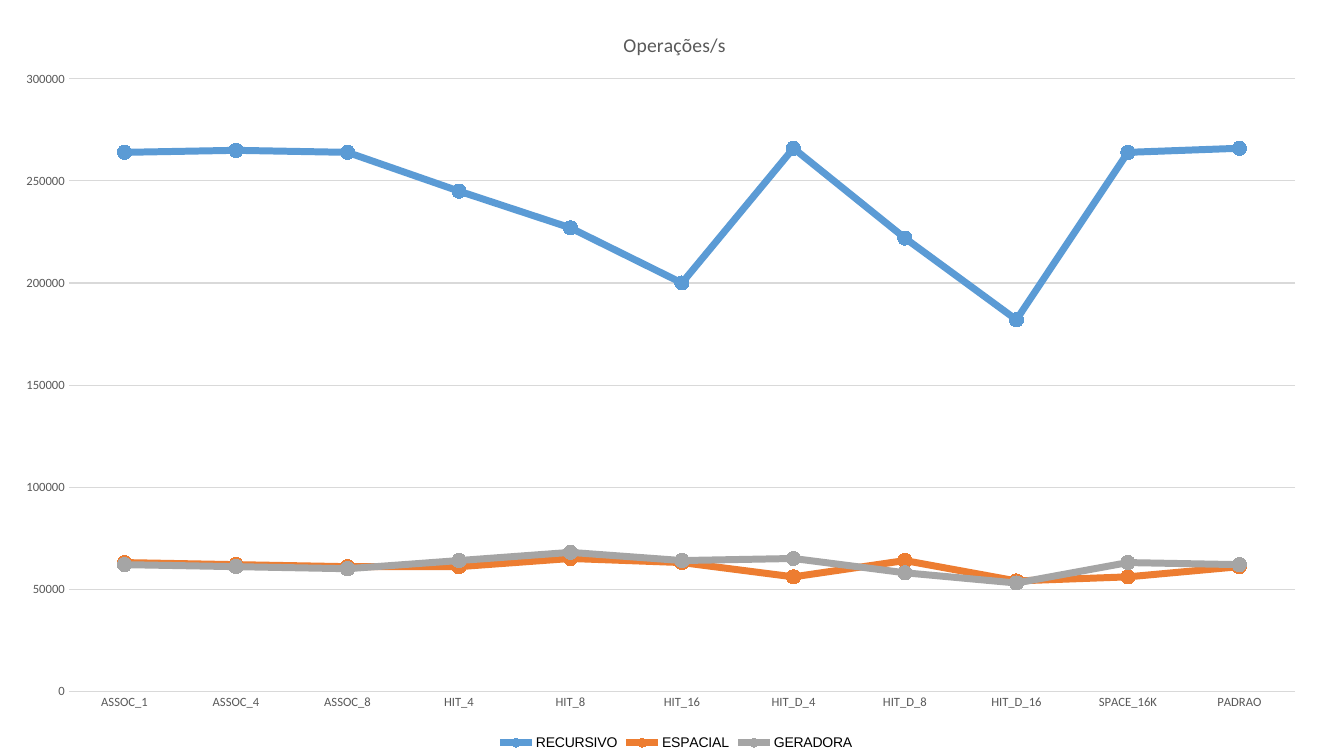
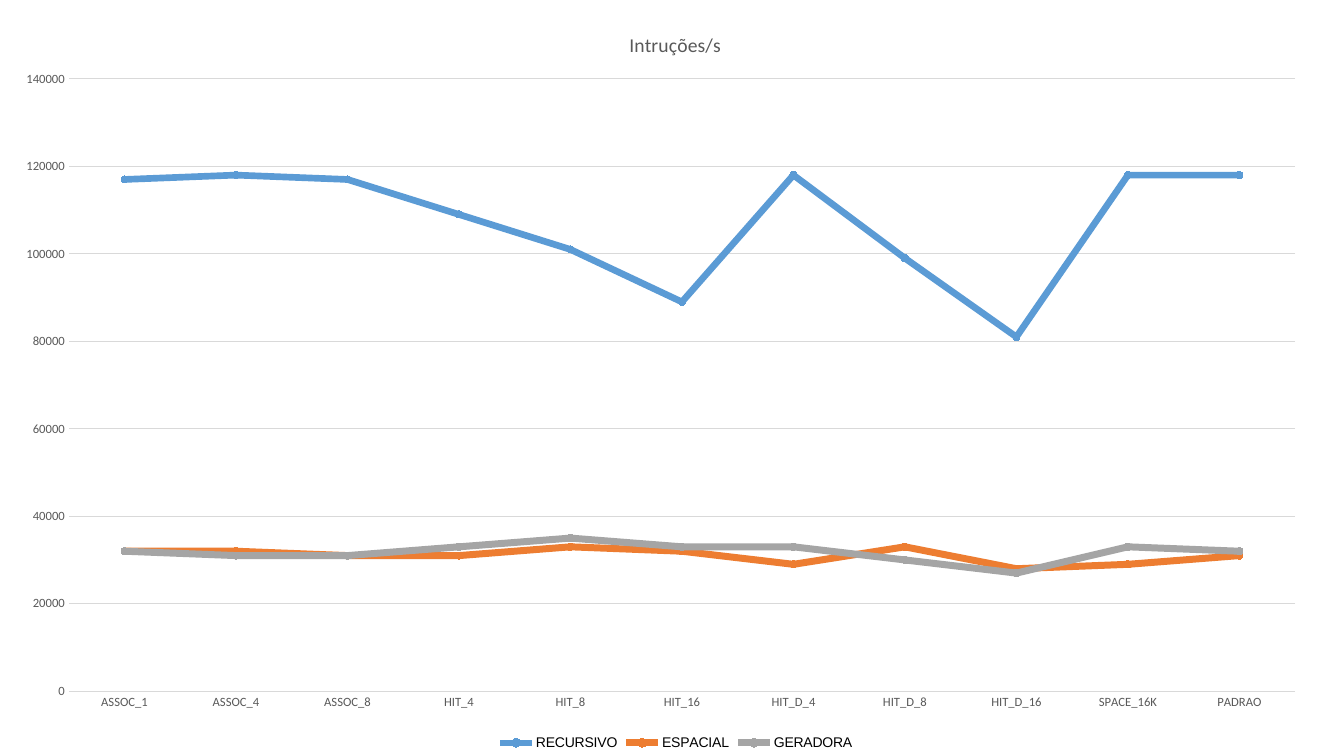
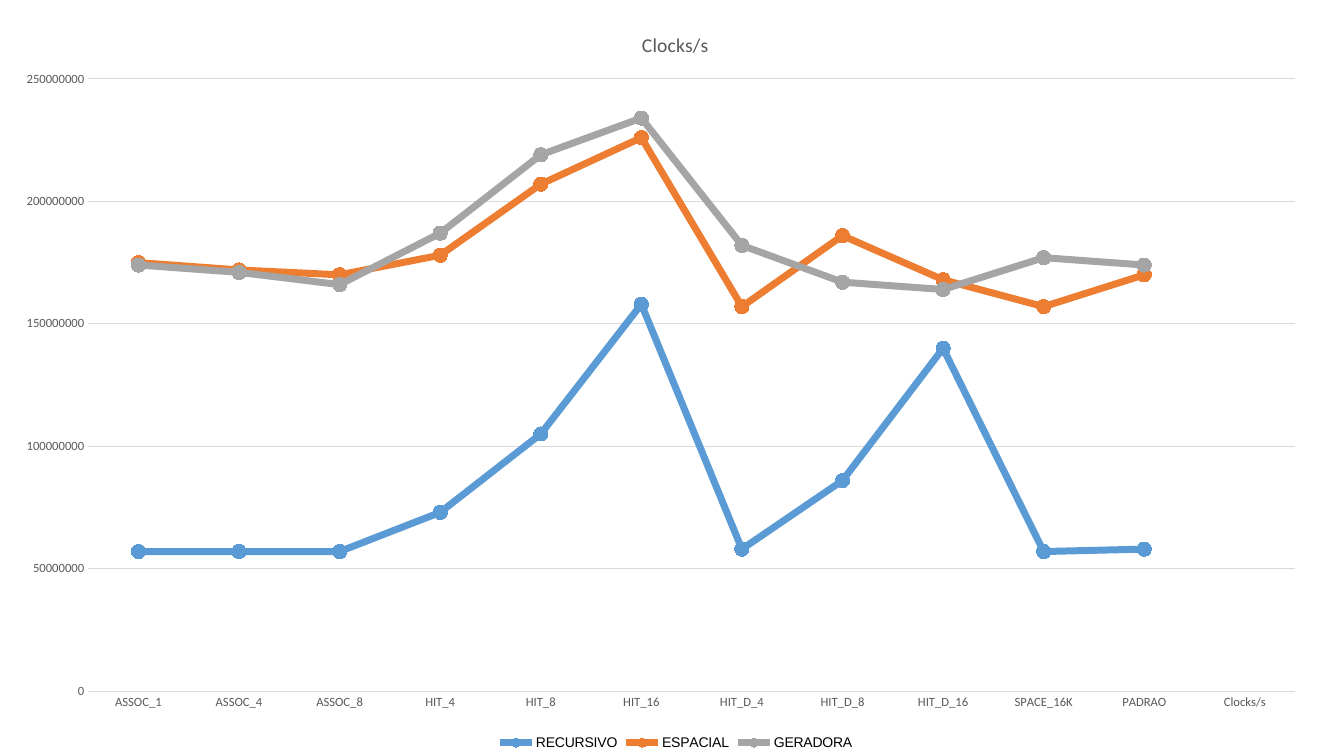
"""Builds three full-slide line charts comparing cache configurations."""
from pptx import Presentation
from pptx import util as u
from pptx.chart import data as chart_data
from pptx.dml.color import RGBColor
from pptx.enum import chart as kinds
from pptx.oxml import parse_xml
from pptx.oxml.ns import nsdecls

COLUMNS, ROWS = 160, 90
COLORS = {"RECURSIVO": "5B9BD5", "ESPACIAL": "ED7D31", "GERADORA": "A5A5A5",
          "label": "595959", "grid": "D9D9D9", "legend": "000000"}
SETUPS = ["ASSOC_1", "ASSOC_4", "ASSOC_8", "HIT_4", "HIT_8", "HIT_16",
          "HIT_D_4", "HIT_D_8", "HIT_D_16", "SPACE_16K", "PADRAO"]
THOUSAND, MILLION = 1000, 1000000

CHARTS = [
    dict(title="Operações/s", title_column=73.8, plot_column=8.2, setups=SETUPS,
         unit=THOUSAND, top=300, step=50, marker=10, widths=[5, 5, 5],
         series={"RECURSIVO": [264, 265, 264, 245, 227, 200, 266, 222, 182, 264, 266],
                 "ESPACIAL": [63, 62, 61, 61, 65, 63, 56, 64, 54, 56, 61],
                 "GERADORA": [62, 61, 60, 64, 68, 64, 65, 58, 53, 63, 62]}),
    dict(title="Intruções/s", title_column=74.5, plot_column=8.2, setups=SETUPS,
         unit=THOUSAND, top=140, step=20, marker=5, widths=[4.76, 5, 5],
         series={"RECURSIVO": [117, 118, 117, 109, 101, 89, 118, 99, 81, 118, 118],
                 "ESPACIAL": [32, 32, 31, 31, 33, 32, 29, 33, 28, 29, 31],
                 "GERADORA": [32, 31, 31, 33, 35, 33, 33, 30, 27, 33, 32]}),
    dict(title="Clocks/s", title_column=76, plot_column=10.5,
         setups=SETUPS + ["Clocks/s"],
         unit=MILLION, top=250, step=50, marker=10, widths=[5, 5, 5],
         series={"RECURSIVO": [57, 57, 57, 73, 105, 158, 58, 86, 140, 57, 58, None],
                 "ESPACIAL": [175, 172, 170, 178, 207, 226, 157, 186, 168, 157, 170, None],
                 "GERADORA": [174, 171, 166, 187, 219, 234, 182, 167, 164, 177, 174, None]}),
]


def color(name):
    """Return a named colour."""
    return RGBColor.from_string(COLORS[name])


def style_font(font, name, size, shade):
    """Set the face, size and colour of a font."""
    font.name, font.size, font.bold = name, u.Pt(size), False
    font.color.rgb = color(shade)


def style_line(line, shade, width):
    """Set the colour and width of a line."""
    line.color.rgb = color(shade)
    line.width = u.Pt(width)


def place(part, after, column, row, columns=None, rows=None):
    """Put a chart part at a grid position, its layout following a given tag."""
    for layout in part.xpath("c:layout"):
        part.remove(layout)
    values = [("x", column / COLUMNS), ("y", row / ROWS)]
    modes = "".join(f'<c:{side}Mode val="edge"/>' for side in "xy")
    if columns:
        values += [("w", columns / COLUMNS), ("h", rows / ROWS)]
        modes = '<c:layoutTarget val="inner"/>' + modes
    sizes = "".join(f'<c:{key} val="{value:.4f}"/>' for key, value in values)
    layout = parse_xml(f'<c:layout {nsdecls("c")}><c:manualLayout>{modes}{sizes}'
                       '</c:manualLayout></c:layout>')
    anchors = part.xpath(f"c:{after}") if after else []
    part.insert(part.index(anchors[0]) + 1 if anchors else 0, layout)


def style_axes(chart, top, step):
    """Style both axes, with the first point on the value axis."""
    for axis in (chart.category_axis, chart.value_axis):
        axis.major_tick_mark = axis.minor_tick_mark = kinds.XL_TICK_MARK.NONE
        style_font(axis.tick_labels.font, "Calibri", 9, "label")
    style_line(chart.category_axis.format.line, "grid", 0.75)
    values = chart.value_axis
    values.minimum_scale, values.maximum_scale, values.major_unit = 0, top, step
    values.format.line.fill.background()
    values.has_major_gridlines = True
    style_line(values.major_gridlines.format.line, "grid", 0.75)
    values.tick_labels.number_format = "General"
    values.tick_labels.number_format_is_linked = False
    for crossing in chart.element.xpath(".//c:crossBetween"):
        crossing.set("val", "midCat")


def style_series(chart, widths, marker_size):
    """Give each series its colour, line and round markers."""
    for series, width in zip(chart.plots[0].series, widths):
        series.smooth = False
        style_line(series.format.line, series.name, width)
        marker = series.marker
        marker.style, marker.size = kinds.XL_MARKER_STYLE.CIRCLE, marker_size
        marker.format.fill.solid()
        marker.format.fill.fore_color.rgb = color(series.name)
        style_line(marker.format.line, series.name, 0.75)


def add_title(chart, words, column):
    """Add the chart title."""
    chart.has_title = True
    span = chart.chart_title.text_frame.paragraphs[0].add_run()
    span.text = words
    style_font(span.font, "Calibri", 14, "label")
    place(chart.element.xpath("c:chart/c:title")[0], "tx", column, 3.3)


def add_legend(chart):
    """Add the legend along the bottom edge."""
    chart.has_legend = True
    legend = chart.legend
    legend.position = kinds.XL_LEGEND_POSITION.BOTTOM
    legend.include_in_layout = False
    style_font(legend.font, "Arial", 10, "legend")
    place(chart.element.xpath("c:chart/c:legend")[0], "legendPos", 59, 87.3)


def add_line_chart(deck, content):
    """Add a slide filled by one line chart."""
    page = deck.slides.add_slide(deck.slide_layouts[6])
    unit = content["unit"]
    table = chart_data.CategoryChartData()
    table.categories = content["setups"]
    for name, values in content["series"].items():
        table.add_series(name, [None if v is None else v * unit for v in values])
    chart = page.shapes.add_chart(kinds.XL_CHART_TYPE.LINE_MARKERS, 0, 0,
                                  deck.slide_width, deck.slide_height, table).chart
    style_font(chart.font, "Arial", 10, "legend")
    chart.plots[0].vary_by_categories = False
    style_axes(chart, content["top"] * unit, content["step"] * unit)
    style_series(chart, content["widths"], content["marker"])
    add_title(chart, content["title"], content["title_column"])
    add_legend(chart)
    left = content["plot_column"]
    place(chart.element.xpath("c:chart/c:plotArea")[0], None,
          left, 9.4, 154.2 - left, 72.9)


def main():
    """Build and save the deck."""
    deck = Presentation()
    deck.slide_width, deck.slide_height = u.Inches(13.33), u.Inches(7.5)
    for content in CHARTS:
        add_line_chart(deck, content)
    deck.save("out.pptx")


main()
